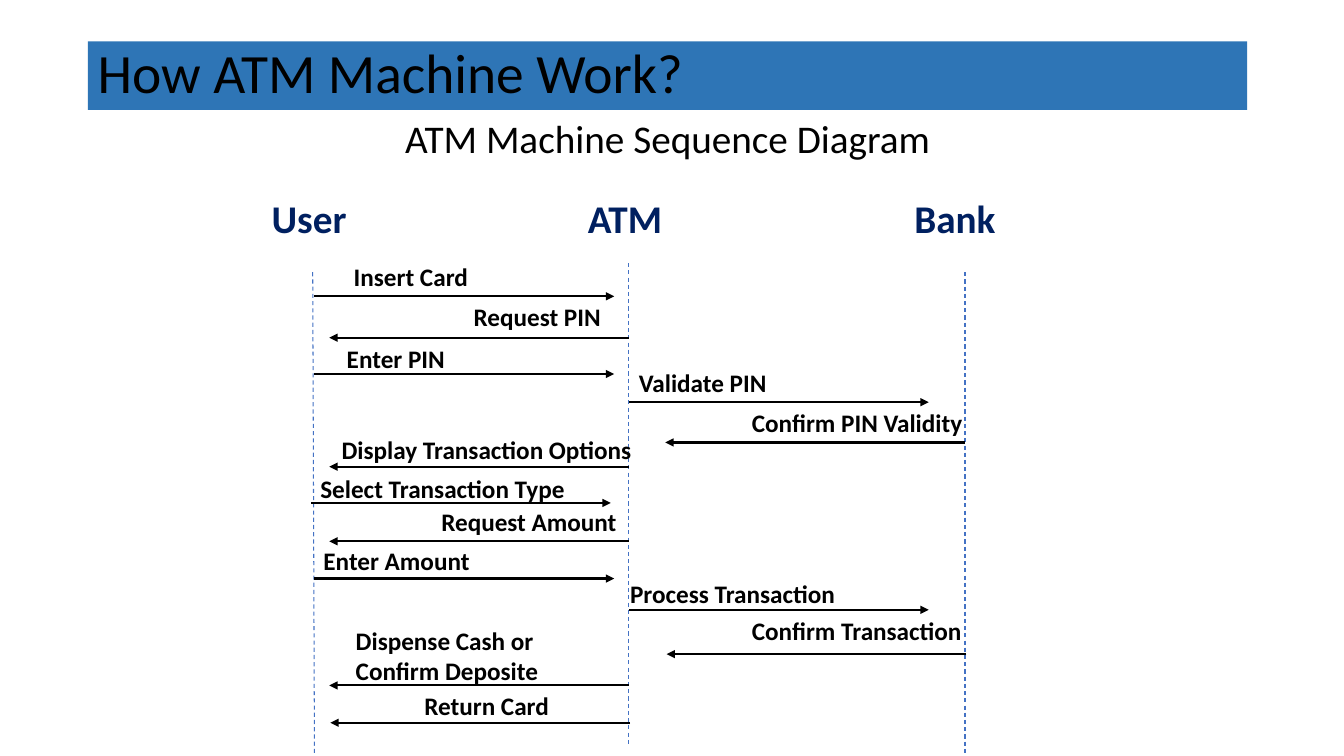
from dataclasses import dataclass

import pptx
import pptx.dml.color
import pptx.enum.dml
import pptx.enum.shapes
import pptx.enum.text
import pptx.oxml.ns
import pptx.util
from lxml import etree

RGBColor = pptx.dml.color.RGBColor
BLACK = RGBColor(0x00, 0x00, 0x00)
NAVY = RGBColor(0x00, 0x20, 0x60)
BAR_BLUE = RGBColor(0x2E, 0x75, 0xB6)
LIFELINE_BLUE = RGBColor(0x44, 0x72, 0xC4)

FONT = "Calibri"
SLIDE_WIDTH = pptx.util.Inches(13.33)
SLIDE_HEIGHT = pptx.util.Inches(7.5)

# All lengths below are percent of the slide's width (x) or height (y).
USER, ATM, BANK = 23.4, 46.8, 71.8
ARROW_LENGTH = 22.3
LABEL_HEIGHT = 5.33
MARGIN, CONTENT_WIDTH = 6.53, 86.27
RIGHT, LEFT = 1, -1


@dataclass(frozen=True)
class Participant:
    name: str
    name_center: float
    line_top_x: float
    line_bottom_x: float
    line_top: float


@dataclass(frozen=True)
class Message:
    text: str
    sender: float
    direction: int
    arrow_y: float
    label_left: float
    label_top: float
    label_width: float = 19
    start_shift: float = 0


PARTICIPANTS = [
    Participant("User", 23, 23.27, USER, 36),
    Participant("ATM", 46.5, ATM, ATM, 34.8),
    Participant("Bank", 71.05, BANK, BANK, 36),
]

MESSAGES = [
    Message("Insert Card", USER, RIGHT, 39.2, 25.58, 33.87),
    Message("Request PIN", ATM, LEFT, 44.67, 34.5, 39.2),
    Message("Enter PIN", USER, RIGHT, 49.47, 25.06, 44.8),
    Message("Validate PIN", ATM, RIGHT, 53.2, 46.8, 47.87),
    Message("Confirm PIN Validity", BANK, LEFT, 58.53, 55.2, 53.2),
    Message("Display Transaction Options", ATM, LEFT, 61.73, 24.68, 56.8, 23.55),
    Message("Select Transaction Type", USER, RIGHT, 66.53, 23.1, 62, 21.2, -0.25),
    Message("Request Amount", ATM, LEFT, 71.6, 32.1, 66.27, 23.55),
    Message("Enter Amount", USER, RIGHT, 76.53, 23.33, 71.47, 23.55),
    Message("Process Transaction", ATM, RIGHT, 80.67, 46.14, 75.87),
    Message("Confirm Transaction", BANK, LEFT, 86.53, 55.2, 80.8, start_shift=0.1),
    Message("Dispense Cash or\nConfirm Deposite", ATM, LEFT, 90.67, 25.73, 82, 29.8),
    Message("Return Card", ATM, LEFT, 95.6, 30.83, 90.67, start_shift=0.08),
]


def across(percent: float) -> int:
    return round(SLIDE_WIDTH * percent / 100)


def down(percent: float) -> int:
    return round(SLIDE_HEIGHT * percent / 100)


def add_text(slide, text: str, left: float, top: float, width: float, height: float, *,
             size: float, color=BLACK, bold: bool = False, fill=None,
             align=pptx.enum.text.PP_ALIGN.LEFT,
             anchor=pptx.enum.text.MSO_ANCHOR.MIDDLE, line_spacing: float = 1.0):
    """Add a text box with one paragraph per line of text."""
    box = slide.shapes.add_textbox(across(left), down(top), across(width), down(height))
    if fill is not None:
        box.fill.solid()
        box.fill.fore_color.rgb = fill
    frame = box.text_frame
    frame.word_wrap = True
    frame.vertical_anchor = anchor
    frame.text = text
    for paragraph in frame.paragraphs:
        paragraph.alignment = align
        paragraph.line_spacing = line_spacing
        font = paragraph.runs[0].font
        font.name, font.size, font.bold = FONT, pptx.util.Pt(size), bold
        font.color.rgb = color


def add_line(slide, start: tuple[float, float], end: tuple[float, float], color,
             width: float, *, dashed: bool = False, arrow: bool = False) -> None:
    line = slide.shapes.add_connector(
        pptx.enum.shapes.MSO_CONNECTOR.STRAIGHT,
        across(start[0]), down(start[1]), across(end[0]), down(end[1]))
    line.line.color.rgb = color
    line.line.width = pptx.util.Pt(width)
    if dashed:
        line.line.dash_style = pptx.enum.dml.MSO_LINE.DASH
    qn = pptx.oxml.ns.qn
    properties = line._element.spPr
    if arrow:
        etree.SubElement(properties.find(qn("a:ln")), qn("a:tailEnd"), type="triangle")
    etree.SubElement(properties, qn("a:effectLst"))


def add_participant(slide, participant: Participant) -> None:
    name_width = 12
    add_text(slide, participant.name, participant.name_center - name_width / 2, 24.8,
             name_width, 8, size=28, color=NAVY, bold=True,
             align=pptx.enum.text.PP_ALIGN.CENTER)
    add_line(slide, (participant.line_top_x, participant.line_top),
             (participant.line_bottom_x, participant.line_top + 64),
             LIFELINE_BLUE, 0.75, dashed=True)


def add_message(slide, message: Message) -> None:
    start = message.sender + message.start_shift
    add_line(slide, (start, message.arrow_y),
             (start + message.direction * ARROW_LENGTH, message.arrow_y),
             BLACK, 1.5, arrow=True)
    line_count = len(message.text.splitlines())
    add_text(slide, message.text, message.label_left, message.label_top,
             message.label_width, LABEL_HEIGHT + 4.1 * (line_count - 1), size=18,
             bold=True, anchor=pptx.enum.text.MSO_ANCHOR.TOP)


def main() -> None:
    deck = pptx.Presentation()
    deck.slide_width, deck.slide_height = SLIDE_WIDTH, SLIDE_HEIGHT
    slide = deck.slides.add_slide(deck.slide_layouts[6])

    add_text(slide, "How ATM Machine Work?", MARGIN, 5.47, CONTENT_WIDTH, 9.07,
             size=39.6, fill=BAR_BLUE, line_spacing=0.9)
    add_text(slide, "ATM Machine Sequence Diagram", MARGIN, 14.27, CONTENT_WIDTH, 8,
             size=28, align=pptx.enum.text.PP_ALIGN.CENTER)
    for participant in PARTICIPANTS:
        add_participant(slide, participant)
    for message in MESSAGES:
        add_message(slide, message)

    deck.save("out.pptx")


if __name__ == "__main__":
    main()
